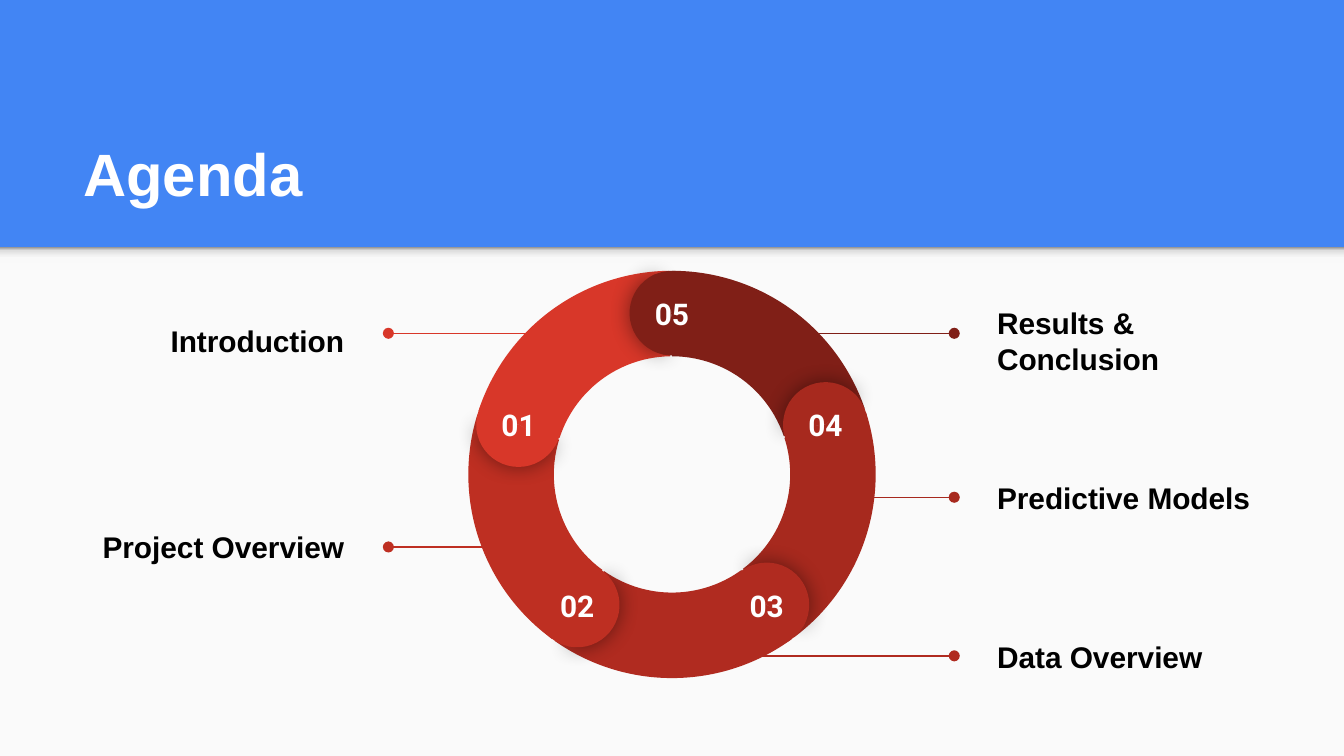
"""Build an agenda slide: a five-part ring with numbered caps and labelled leader lines."""
import math

from pptx import Presentation
from pptx.dml.color import RGBColor
from pptx.enum import shapes, text
from pptx.oxml import parse_xml
from pptx.oxml.ns import nsdecls
from pptx.util import Inches, Pt

BLUE = RGBColor(0x42, 0x85, 0xF4)
PAPER = RGBColor(0xFA, 0xFA, 0xFA)
WHITE = RGBColor(0xFF, 0xFF, 0xFF)
BLACK = RGBColor(0, 0, 0)
SCARLET = RGBColor(0xD8, 0x37, 0x29)
RED = RGBColor(0xBE, 0x2F, 0x22)
BRICK = RGBColor(0xB0, 0x2B, 0x20)
RUST = RGBColor(0xA7, 0x29, 0x1E)
MAROON = RGBColor(0x80, 0x1F, 0x17)

TITLE = "Agenda"
SEGMENTS = [("05", MAROON), ("04", RUST), ("03", BRICK), ("02", RED), ("01", SCARLET)]
LABELS = [
    ("Introduction", SCARLET, "left", 2.03, 4.23, 2.48),
    ("Project Overview", RED, "left", 3.56, 3.91, 4.07),
    ("Data Overview", BRICK, "right", 4.38, 5.09, 4.88),
    ("Results & Conclusion", MAROON, "right", 2.03, 5.7, 2.48),
    ("Predictive Models", RUST, "right", 3.2, 6.14, 3.7),
]
SIDES = {
    "left": (0.34, 2.89, text.PP_ALIGN.RIGHT),
    "right": (7.32, 7.1, text.PP_ALIGN.LEFT),
}
SHADE_STOPS = [(0, "F9F9F9"), (36, "F9F9F9"), (80, "DEDEDE"), (100, "999999")]

WIDTH, BAND = 10, 1.84
HEIGHT = WIDTH * 9 / 16
CENTER_X, CENTER_Y = 5, 3.53
RING, CAP, ORBIT = 3.03, 0.63, 1.2
STEP = 360 / len(SEGMENTS)
ARC_SHAPE = (126.03, 168.68, 0.21)
CAP_SHADED = (61.9, 149.96)
CAP_PLAIN = (40.28, 171.84)


def box(left, top, width, height):
    return Inches(left), Inches(top), Inches(width), Inches(height)


def add_filled(s, kind, bounds, color, rotation=0, adjustments=()):
    sp = s.shapes.add_shape(kind, *box(*bounds))
    sp.shadow.inherit = False
    sp.fill.solid()
    sp.fill.fore_color.rgb = color
    sp.line.fill.background()
    sp.rotation = rotation % 360
    for i, value in enumerate(adjustments):
        sp.adjustments[i] = value
    return sp


def format_text(sp, content, size, font, color, align, anchor):
    tf = sp.text_frame
    tf.word_wrap = True
    tf.auto_size = text.MSO_AUTO_SIZE.NONE
    tf.vertical_anchor = anchor
    tf.margin_left = tf.margin_right = tf.margin_top = tf.margin_bottom = Inches(0.1)
    tf.text = content
    p = tf.paragraphs[0]
    p.alignment = align
    f = p.runs[0].font
    f.size, f.name, f.bold = Pt(size), font, True
    f.color.rgb = color
    return p


def add_band(s):
    add_filled(s, shapes.MSO_SHAPE.RECTANGLE, (0, BAND, WIDTH, HEIGHT - BAND), PAPER)
    sp = add_filled(s, shapes.MSO_SHAPE.RECTANGLE, (0, BAND, WIDTH, 0.12), PAPER)
    stops = "".join(
        f'<a:gs pos="{pos * 1000}"><a:srgbClr val="{color}"/></a:gs>' for pos, color in SHADE_STOPS
    )
    solid = sp.element.spPr.find("{*}solidFill")
    sp.element.spPr.replace(solid, parse_xml(
        f'<a:gradFill {nsdecls("a")}><a:gsLst>{stops}</a:gsLst><a:lin ang="16200000"/></a:gradFill>'
    ))


def add_label(s, content, color, side, top, start_x, line_y):
    left, end_x, align = SIDES[side]
    line = s.shapes.add_connector(
        shapes.MSO_CONNECTOR.STRAIGHT,
        Inches(start_x), Inches(line_y), Inches(end_x), Inches(line_y),
    )
    line.line.color.rgb = color
    line.line.width = Pt(0.75)
    outline = line.element.spPr.find("{*}ln")
    outline.append(parse_xml(f'<a:tailEnd {nsdecls("a")} type="oval"/>'))
    line.element.spPr.append(parse_xml(f'<a:effectLst {nsdecls("a")}/>'))
    sp = s.shapes.add_textbox(*box(left, top, 2.32, 1.01))
    p = format_text(sp, content, 16, "Arial", BLACK, align, text.MSO_ANCHOR.MIDDLE)
    p.space_after = Pt(16)


def add_arc(s, i, color):
    bounds = (CENTER_X - RING / 2, CENTER_Y - RING / 2, RING, RING)
    add_filled(s, shapes.MSO_SHAPE.BLOCK_ARC, bounds, color, 60 + STEP * i, ARC_SHAPE)


def add_cap(s, i, number, color):
    angle = math.radians(STEP * i - 90)
    x = CENTER_X + ORBIT * math.cos(angle)
    y = CENTER_Y + ORBIT * math.sin(angle)
    bounds = (x - CAP / 2, y - CAP / 2, CAP, CAP)
    shaded = add_filled(s, shapes.MSO_SHAPE.PIE, bounds, color, STEP * i - 2.9, CAP_SHADED)
    shaded.element.spPr.find("{*}effectLst").append(parse_xml(
        f'<a:outerShdw {nsdecls("a")} blurRad="{Pt(11.2)}" algn="ctr" rotWithShape="0">'
        '<a:srgbClr val="000000"><a:alpha val="43000"/></a:srgbClr></a:outerShdw>'
    ))
    add_filled(s, shapes.MSO_SHAPE.PIE, bounds, color, STEP * i + 176.4, CAP_PLAIN)
    sp = s.shapes.add_textbox(*box(x - 0.28, y - 0.23, 0.56, 0.29))
    format_text(sp, number, 16, "Roboto", WHITE, text.PP_ALIGN.CENTER, text.MSO_ANCHOR.TOP)


def main():
    prs = Presentation()
    prs.slide_width, prs.slide_height = Inches(WIDTH), Inches(HEIGHT)
    s = prs.slides.add_slide(prs.slide_layouts[5])
    s.background.fill.solid()
    s.background.fill.fore_color.rgb = BLUE
    add_band(s)
    title = s.shapes.title
    title.left, title.top, title.width, title.height = box(0.52, 0.81, 8.99, 0.84)
    format_text(title, TITLE, 32, "Arial", WHITE, text.PP_ALIGN.LEFT, text.MSO_ANCHOR.BOTTOM)
    for label in LABELS:
        add_label(s, *label)
    for i, (_, color) in enumerate(SEGMENTS):
        add_arc(s, i, color)
    for i, (number, color) in enumerate(SEGMENTS):
        add_cap(s, i, number, color)
    prs.save("out.pptx")


if __name__ == "__main__":
    main()
